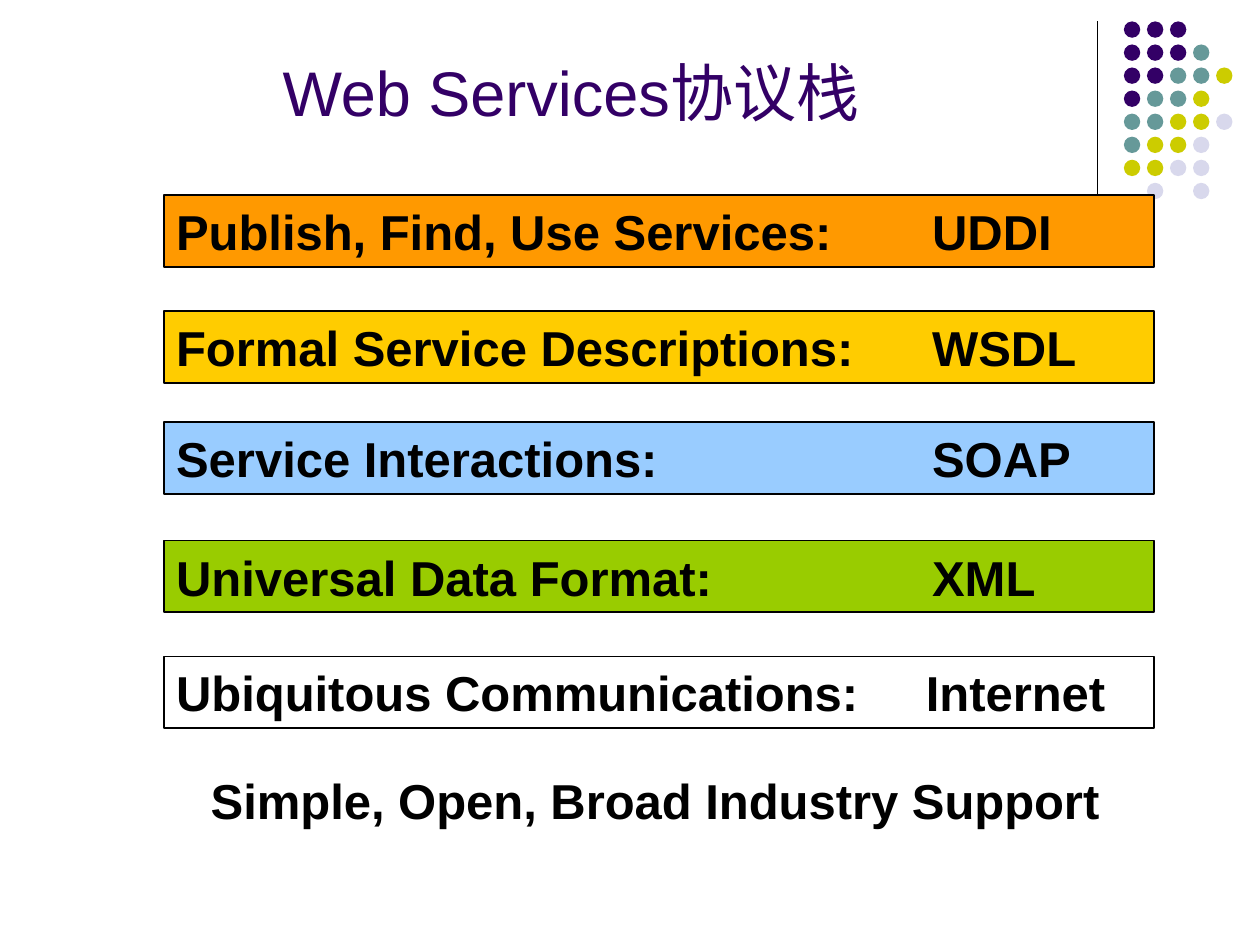
from pptx import Presentation
from pptx.dml.color import RGBColor
from pptx.enum.shapes import MSO_CONNECTOR, MSO_SHAPE
from pptx.enum.text import MSO_ANCHOR, MSO_AUTO_SIZE, PP_ALIGN
from pptx.oxml.ns import qn
from pptx.util import Inches, Pt
from lxml import etree

STRAIGHT = MSO_CONNECTOR.STRAIGHT
RECTANGLE = MSO_SHAPE.RECTANGLE
OVAL = MSO_SHAPE.OVAL
TOP = MSO_ANCHOR.TOP
MIDDLE = MSO_ANCHOR.MIDDLE
NO_FIT = MSO_AUTO_SIZE.NONE
LEFT = PP_ALIGN.LEFT
CENTER = PP_ALIGN.CENTER

BLACK = RGBColor(0x00, 0x00, 0x00)
PURPLE = RGBColor(0x33, 0x00, 0x66)
TEAL = RGBColor(0x66, 0x99, 0x99)
OLIVE = RGBColor(0xCC, 0xCC, 0x00)
LAVENDER = RGBColor(0xD8, 0xD8, 0xEC)
ORANGE = RGBColor(0xFF, 0x99, 0x00)
GOLD = RGBColor(0xFF, 0xCC, 0x00)
SKY = RGBColor(0x99, 0xCC, 0xFF)
GREEN = RGBColor(0x99, 0xCC, 0x00)

DOT_COLORS = {"P": PURPLE, "T": TEAL, "O": OLIVE, "L": LAVENDER}
DOT_ROWS = ["PPP", "PPPT", "PPTTO", "PTTO", "TTOOL", "TOOL", "OOLL", " L L"]
DOT_STEP = 0.183

LAYERS = [
    ("Publish, Find, Use Services:", "UDDI", 1.55, 6, ORANGE),
    ("Formal Service Descriptions:", "WSDL", 2.47, 6, GOLD),
    ("Service Interactions:", "SOAP", 3.35, 6, SKY),
    ("Universal Data Format:", "XML", 4.29, 6, GREEN),
    ("Ubiquitous Communications:", "Internet", 5.21, 5.95, None),
]


def write_text(box, text, size=28, color=BLACK, bold=True, align=LEFT,
               anchor=MIDDLE, spacing=1.0, tab=None):
    frame = box.text_frame
    frame.word_wrap = True
    frame.auto_size = NO_FIT
    frame.vertical_anchor = anchor
    frame.margin_left = frame.margin_right = Inches(0.1)
    frame.margin_top = frame.margin_bottom = Inches(0.05)
    frame.text = text
    para = frame.paragraphs[0]
    para.alignment = align
    para.line_spacing = spacing
    if tab is not None:
        tabs = etree.SubElement(para._p.get_or_add_pPr(), qn("a:tabLst"))
        etree.SubElement(tabs, qn("a:tab"), pos=str(Inches(tab)), algn="l")
    font = para.runs[0].font
    font.name = "Arial"
    font.size = Pt(size)
    font.bold = bold
    font.color.rgb = color


class SlideBuilder:
    font_size = 28
    border = Pt(1)

    def __init__(self, page):
        self.page = page

    def title(self, text, left, top, width, height):
        box = self.page.shapes.title
        box.left, box.top = Inches(left), Inches(top)
        box.width, box.height = Inches(width), Inches(height)
        write_text(box, text, size=36, color=PURPLE, bold=False,
                   align=CENTER, anchor=TOP, spacing=0.9)

    def rule(self, x, top, bottom):
        line = self.page.shapes.add_connector(
            STRAIGHT, Inches(x), Inches(top), Inches(x), Inches(bottom))
        line.line.color.rgb = BLACK
        line.line.width = Pt(0.75)
        etree.SubElement(line._element.spPr, qn("a:effectLst"))

    def shape(self, kind, left, top, width, height, fill):
        shape = self.page.shapes.add_shape(
            kind, Inches(left), Inches(top), Inches(width), Inches(height))
        shape.shadow.inherit = False
        if fill is None:
            shape.fill.background()
        else:
            shape.fill.solid()
            shape.fill.fore_color.rgb = fill
        return shape

    def dot(self, left, top, color):
        self.shape(OVAL, left, top, 0.13, 0.13, color).line.fill.background()

    def layer(self, label, protocol, top, tab, fill):
        bar = self.shape(RECTANGLE, 1.3, top, 7.86, 0.57, fill)
        bar.line.color.rgb = BLACK
        bar.line.width = self.border
        write_text(bar, f"{label}\t{protocol}", size=self.font_size, tab=tab)

    def caption(self, text, left, top, width, height):
        box = self.page.shapes.add_textbox(
            Inches(left), Inches(top), Inches(width), Inches(height))
        write_text(box, text, size=self.font_size, align=CENTER)


def main():
    deck = Presentation()
    deck.slide_width, deck.slide_height = Inches(10), Inches(7.5)
    builder = SlideBuilder(deck.slides.add_slide(deck.slide_layouts[5]))
    builder.rule(8.71, 0.17, 1.83)
    for row, codes in enumerate(DOT_ROWS):
        for column, code in enumerate(codes):
            if code in DOT_COLORS:
                builder.dot(8.92 + column * DOT_STEP, 0.17 + row * DOT_STEP,
                            DOT_COLORS[code])
    builder.title("Web Services协议栈", 0.59, 0.44, 7.88, 0.84)
    for layer in LAYERS:
        builder.layer(*layer)
    builder.caption("Simple, Open, Broad Industry Support", 1.3, 6.06, 7.8, 0.57)
    deck.save("out.pptx")


if __name__ == "__main__":
    main()
